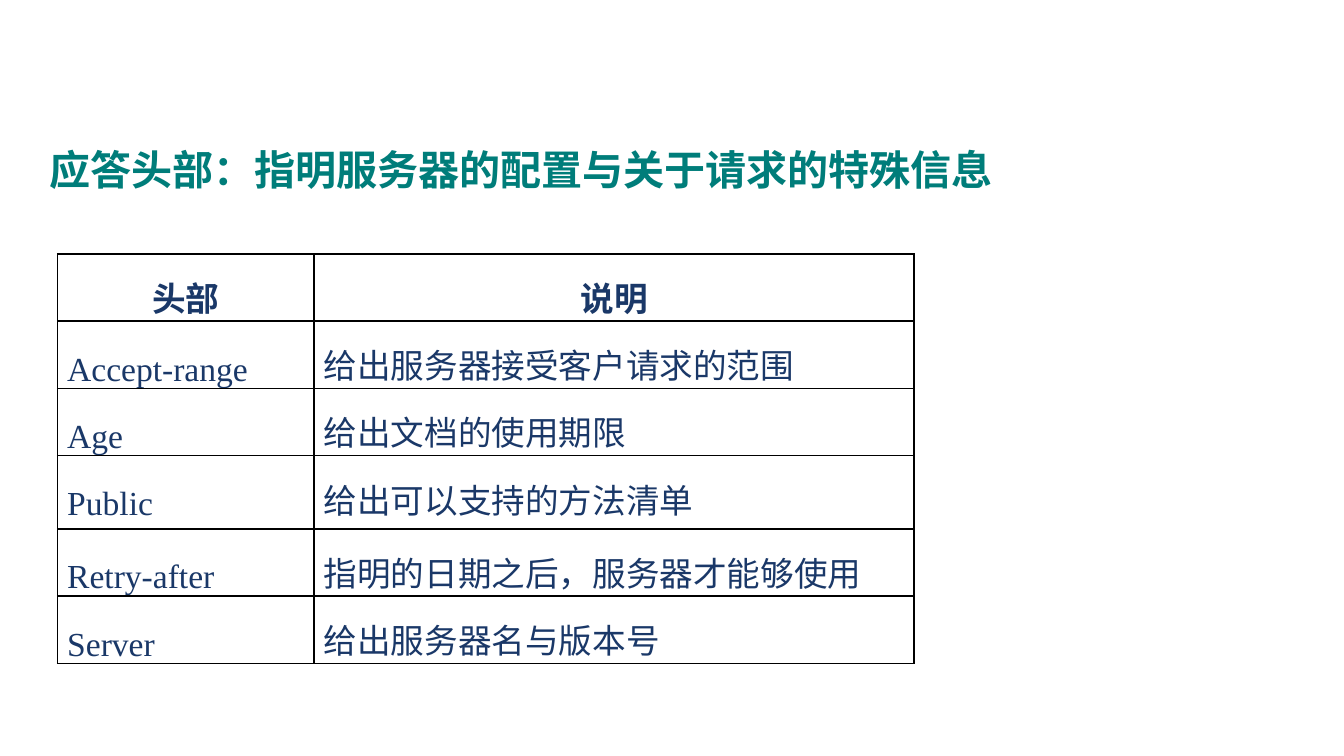
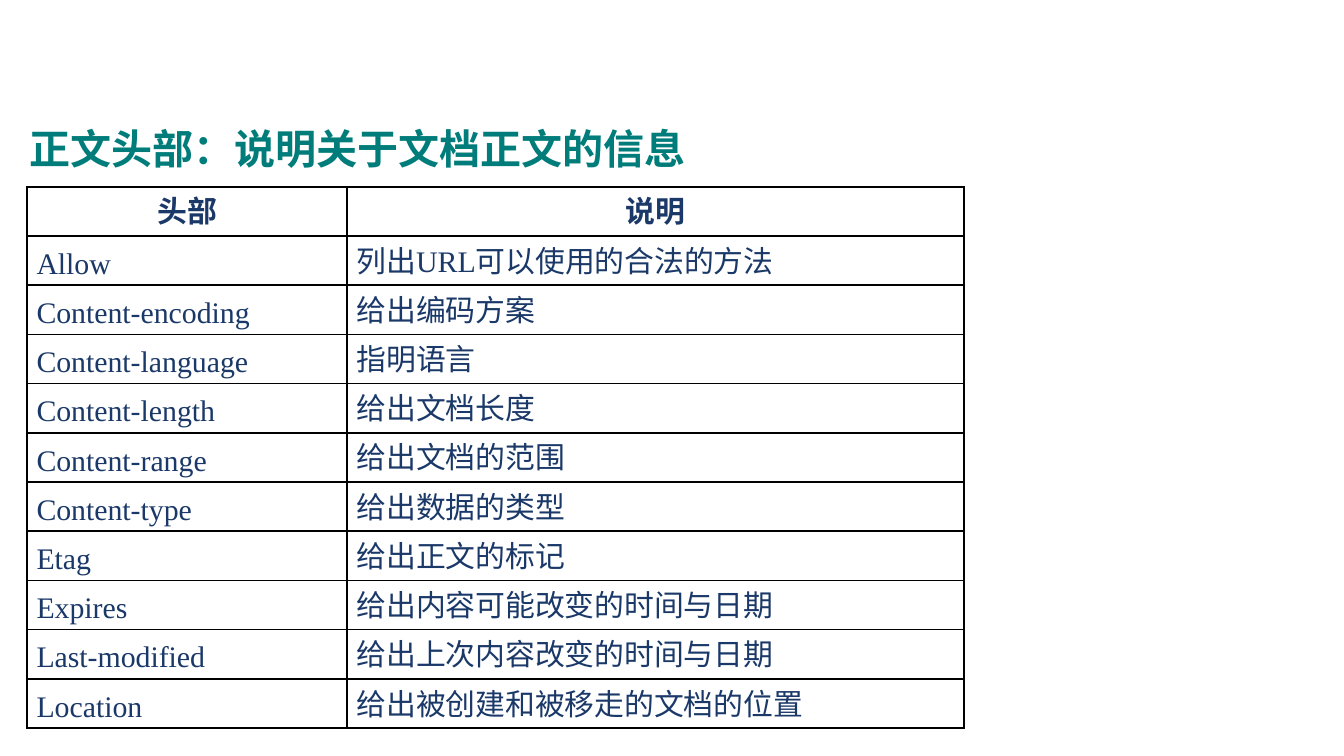
from lxml import etree
from pptx import Presentation
from pptx.dml.color import RGBColor
from pptx.enum.text import MSO_ANCHOR, MSO_AUTO_SIZE, PP_ALIGN
from pptx.oxml.ns import qn
from pptx.util import Cm, Pt

LEFT, CENTER, JUSTIFY = PP_ALIGN.LEFT, PP_ALIGN.CENTER, PP_ALIGN.JUSTIFY
TOP, MIDDLE = MSO_ANCHOR.TOP, MSO_ANCHOR.MIDDLE
NO_AUTOFIT = MSO_AUTO_SIZE.NONE
TITLE_ONLY = 5

FONT = "Times New Roman"
TEAL, NAVY, BLACK, WHITE = "007D7A", "1A3868", "000000", "FFFFFF"
TITLE_SIZE = 22
TITLE_HEIGHT = 2.08
LINE_PITCH = Pt(12)
CELL_MARGIN = Cm(0.18)
BORDER_WIDTH = Pt(1)
HEADINGS = ("头部", "说明")

SLIDES = [
    {
        "title": "应答头部：指明服务器的配置与关于请求的特殊信息",
        "title_box": (0.69, 2.16, 19),
        "table_corner": (1.09, 4.8),
        "columns": (4.85, 11.33),
        "row_height": 1.27,
        "taller_rows": {"Public": 1.39},
        "text_size": 18,
        "lines_above": 2,
        "headers": [
            ("Accept-range", "给出服务器接受客户请求的范围"),
            ("Age", "给出文档的使用期限"),
            ("Public", "给出可以支持的方法清单"),
            ("Retry-after", "指明的日期之后，服务器才能够使用"),
            ("Server", "给出服务器名与版本号"),
        ],
    },
    {
        "title": "正文头部：说明关于文档正文的信息",
        "title_box": (0.3, 1.75, 20.52),
        "table_corner": (0.51, 3.53),
        "columns": (6.05, 11.66),
        "row_height": 0.93,
        "taller_rows": {},
        "text_size": 16,
        "lines_above": 1,
        "headers": [
            ("Allow", "列出URL可以使用的合法的方法"),
            ("Content-encoding", "给出编码方案"),
            ("Content-language", "指明语言"),
            ("Content-length", "给出文档长度"),
            ("Content-range", "给出文档的范围"),
            ("Content-type", "给出数据的类型"),
            ("Etag", "给出正文的标记"),
            ("Expires", "给出内容可能改变的时间与日期"),
            ("Last-modified", "给出上次内容改变的时间与日期"),
            ("Location", "给出被创建和被移走的文档的位置"),
        ],
    },
]


def color(value):
    return RGBColor.from_string(value)


def add_run(paragraph, text, size, text_color, bold):
    run = paragraph.add_run()
    run.text = text
    run.font.name = FONT
    run.font.size = Pt(size)
    run.font.bold = bold
    run.font.color.rgb = color(text_color)


def place_title(slide, text, box):
    title = slide.shapes.title
    left, top, width = box
    title.left, title.top = Cm(left), Cm(top)
    title.width, title.height = Cm(width), Cm(TITLE_HEIGHT)
    frame = title.text_frame
    frame.auto_size = NO_AUTOFIT
    frame.word_wrap = True
    frame.vertical_anchor = MIDDLE
    paragraph = frame.paragraphs[0]
    paragraph.alignment = LEFT
    add_run(paragraph, text, TITLE_SIZE, TEAL, True)


def draw_borders(cell):
    properties = cell._tc.get_or_add_tcPr()
    for side in ("L", "R", "T", "B"):
        line = etree.SubElement(properties, qn(f"a:ln{side}"), w=str(BORDER_WIDTH))
        fill = etree.SubElement(line, qn("a:solidFill"))
        etree.SubElement(fill, qn("a:srgbClr"), val=BLACK)


def fill_cell(cell, text, size, lines_above, is_heading):
    draw_borders(cell)
    cell.fill.solid()
    cell.fill.fore_color.rgb = color(WHITE)
    cell.margin_left = cell.margin_right = CELL_MARGIN
    cell.margin_top = lines_above * LINE_PITCH
    cell.margin_bottom = 0
    cell.vertical_anchor = TOP
    paragraph = cell.text_frame.paragraphs[0]
    paragraph.alignment = CENTER if is_heading else JUSTIFY
    paragraph.line_spacing = LINE_PITCH
    add_run(paragraph, text, size, NAVY, is_heading)


def add_header_table(slide, content):
    rows = [HEADINGS] + content["headers"]
    heights = [content["taller_rows"].get(name, content["row_height"]) for name, _ in rows]
    left, top = content["table_corner"]
    table = slide.shapes.add_table(
        len(rows), len(HEADINGS), Cm(left), Cm(top),
        Cm(sum(content["columns"])), Cm(sum(heights)),
    ).table
    table.first_row = table.horz_banding = False
    for column, width in zip(table.columns, content["columns"]):
        column.width = Cm(width)
    for row_index, (row, height, texts) in enumerate(zip(table.rows, heights, rows)):
        row.height = Cm(height)
        for cell, text in zip(row.cells, texts):
            fill_cell(cell, text, content["text_size"], content["lines_above"], row_index == 0)


def main():
    presentation = Presentation()
    presentation.slide_width, presentation.slide_height = Cm(25.4), Cm(14.29)
    for content in SLIDES:
        slide = presentation.slides.add_slide(presentation.slide_layouts[TITLE_ONLY])
        place_title(slide, content["title"], content["title_box"])
        add_header_table(slide, content)
    presentation.save("out.pptx")


if __name__ == "__main__":
    main()
